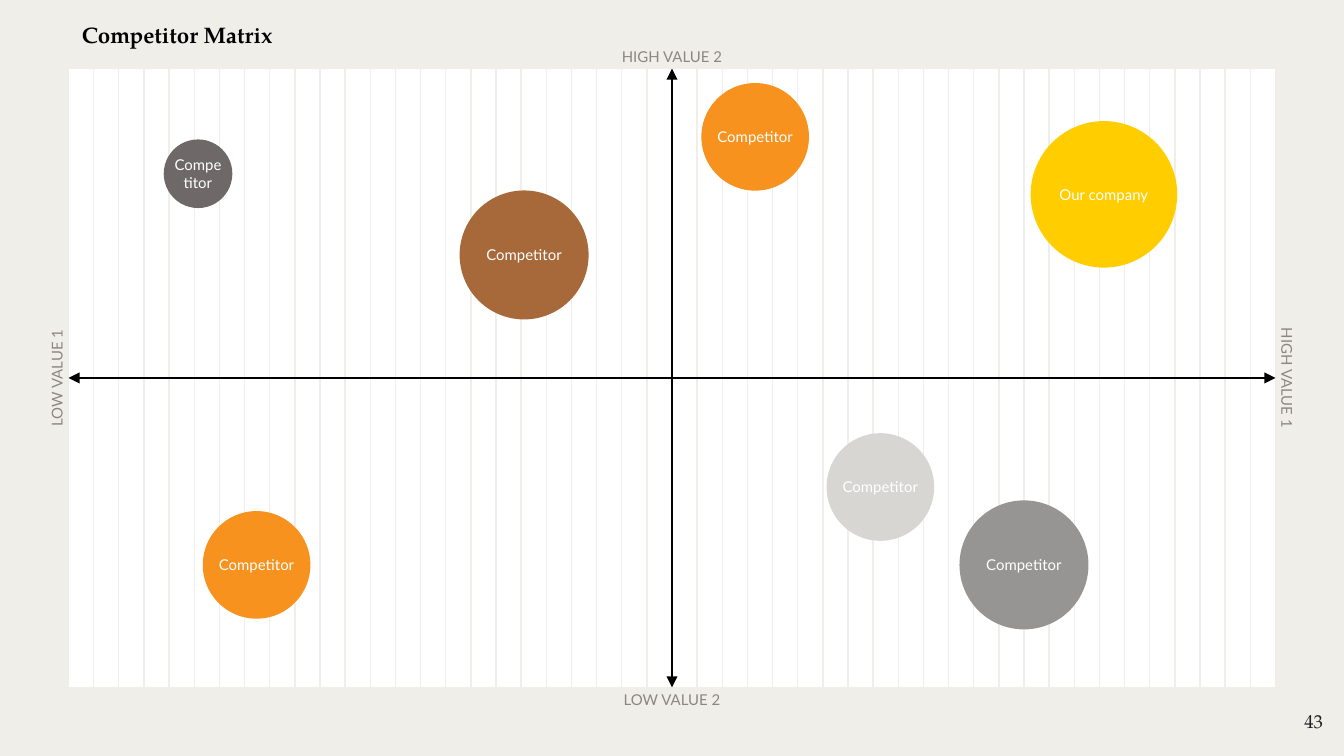
from dataclasses import dataclass

from lxml import etree
from pptx import Presentation, util as u
from pptx.dml.color import RGBColor
from pptx.enum import shapes, text
from pptx.oxml.ns import qn


@dataclass(frozen=True)
class Theme:
    paper: str = "F0EEE9"
    panel: str = "FFFFFF"
    ink: str = "000000"
    number: str = "1D1D1B"
    label: str = "8A8682"
    yellow: str = "FFCD00"
    brown: str = "A7693A"
    orange: str = "F6921D"
    light: str = "D8D6D2"
    grey: str = "979593"
    dark: str = "6F6868"
    serif: str = "TeX Gyre Pagella"
    sans: str = "Lato"
    title_pt: float = 12
    number_pt: float = 10
    small_pt: float = 8
    hairline_pt: float = 0.75
    axis_pt: float = 1.5


# The grid fills the panel; its origin is the panel's top left corner
WIDTH, HEIGHT, MARGIN = 10, 10 * 9 / 16, 0.51
COLS, ROWS = 48, 24
COL = (WIDTH - 2 * MARGIN) / COLS
ROW = (HEIGHT - 2 * MARGIN) / ROWS
LABEL_GAP = 0.47


def rgb(value):
    return RGBColor.from_string(value)


def write(tf, content, *, font, size, color, bold=False, inset=0.0,
          align=text.PP_ALIGN.CENTER, anchor=text.MSO_ANCHOR.MIDDLE):
    tf.word_wrap = True
    tf.vertical_anchor = anchor
    tf.margin_left = tf.margin_right = u.Inches(inset)
    tf.margin_top = tf.margin_bottom = u.Inches(inset)
    p = tf.paragraphs[0]
    p.alignment = align
    r = p.add_run()
    r.text = content
    r.font.name, r.font.size, r.font.bold = font, u.Pt(size), bold
    r.font.color.rgb = rgb(color)


class MatrixSlide:
    """Draws on one slide, with every length in grid columns and rows."""

    def __init__(self, prs, theme):
        self.theme = theme
        self.s = prs.slides.add_slide(prs.slide_layouts[6])
        fill = self.s.background.fill
        fill.solid()
        fill.fore_color.rgb = rgb(theme.paper)

    def point(self, col, row):
        return u.Inches(MARGIN + col * COL), u.Inches(MARGIN + row * ROW)

    def shape(self, kind, col, row, width, height, fill, line=None):
        sp = self.s.shapes.add_shape(kind, *self.point(col, row),
                                     u.Inches(width * COL), u.Inches(height * ROW))
        sp.shadow.inherit = False
        sp.fill.solid()
        sp.fill.fore_color.rgb = rgb(fill)
        if line:
            sp.line.color.rgb = rgb(line)
            sp.line.width = u.Pt(self.theme.hairline_pt)
        else:
            sp.line.fill.background()
        return sp

    def line(self, start, end, color, width, arrows=False):
        c = self.s.shapes.add_connector(shapes.MSO_CONNECTOR.STRAIGHT,
                                        *self.point(*start), *self.point(*end))
        c.line.color.rgb = rgb(color)
        c.line.width = u.Pt(width)
        if arrows:
            ln = c.line._get_or_add_ln()
            for tag in ("a:headEnd", "a:tailEnd"):
                etree.SubElement(ln, qn(tag), type="triangle")
        etree.SubElement(c._element.spPr, qn("a:effectLst"))

    def text(self, content, col, row, width, height, rotation=0, **style):
        sp = self.s.shapes.add_textbox(*self.point(col, row),
                                       u.Inches(width * COL), u.Inches(height * ROW))
        sp.rotation = rotation
        write(sp.text_frame, content, **style)

    def axis_label(self, content, col, row, rotation=0):
        width, height = 7.54, 0.94
        self.text(content, col - width / 2, row - height / 2, width, height, rotation,
                  font=self.theme.sans, size=self.theme.small_pt, color=self.theme.label)

    def bubble(self, content, col, row, diameter, fill):
        """Place a circle by its centre; the diameter is in columns."""
        height = diameter * COL / ROW
        sp = self.shape(shapes.MSO_SHAPE.OVAL, col - diameter / 2, row - height / 2,
                        diameter, height, fill)
        write(sp.text_frame, content, font=self.theme.sans,
              size=self.theme.small_pt, color=self.theme.panel)


def main():
    prs = Presentation()
    prs.slide_width, prs.slide_height = u.Inches(WIDTH), u.Inches(HEIGHT)
    t = Theme()
    m = MatrixSlide(prs, t)
    mid_col, mid_row = COLS / 2, ROWS / 2

    # Title
    top = MARGIN / ROW
    m.text("Competitor Matrix", 0, -top, COLS, top, font=t.serif, size=t.title_pt,
           color=t.ink, bold=True, inset=0.1, align=text.PP_ALIGN.LEFT)

    # Panel with column rules; the vertical axis takes the middle one
    m.shape(shapes.MSO_SHAPE.RECTANGLE, 0, 0, COLS, ROWS, t.panel, t.paper)
    for col in range(1, COLS):
        if col != mid_col:
            m.line((col, 0), (col, ROWS), t.paper, t.hairline_pt)

    # Page number
    m.text("43", 47.2, 24.42, 3.21, 2.24, font=t.serif, size=t.number_pt,
           color=t.number, inset=0.1, align=text.PP_ALIGN.RIGHT,
           anchor=text.MSO_ANCHOR.TOP)

    # Axes and their labels
    m.line((mid_col, 0), (mid_col, ROWS), t.ink, t.axis_pt, arrows=True)
    m.line((0, mid_row), (COLS, mid_row), t.ink, t.axis_pt, arrows=True)
    m.axis_label("LOW VALUE 1", -LABEL_GAP, mid_row, rotation=270)
    m.axis_label("HIGH VALUE 1", COLS + LABEL_GAP, mid_row, rotation=90)
    m.axis_label("LOW VALUE 2", mid_col, ROWS + LABEL_GAP)
    m.axis_label("HIGH VALUE 2", mid_col, -LABEL_GAP)

    # Companies: name, centre column, centre row, diameter, colour
    rival = "Competitor"
    for company in (
        ("Our company", 41.18, 4.88, 5.83, t.yellow),
        (rival, 18.12, 7.23, 5.13, t.brown),
        (rival, 7.48, 19.25, 4.28, t.orange),
        (rival, 32.29, 16.23, 4.28, t.light),
        (rival, 38, 19.25, 5.13, t.grey),
        (rival, 27.31, 2.65, 4.28, t.orange),
        (rival, 5.15, 4.08, 2.73, t.dark),
    ):
        m.bubble(*company)

    prs.save("out.pptx")


if __name__ == "__main__":
    main()
